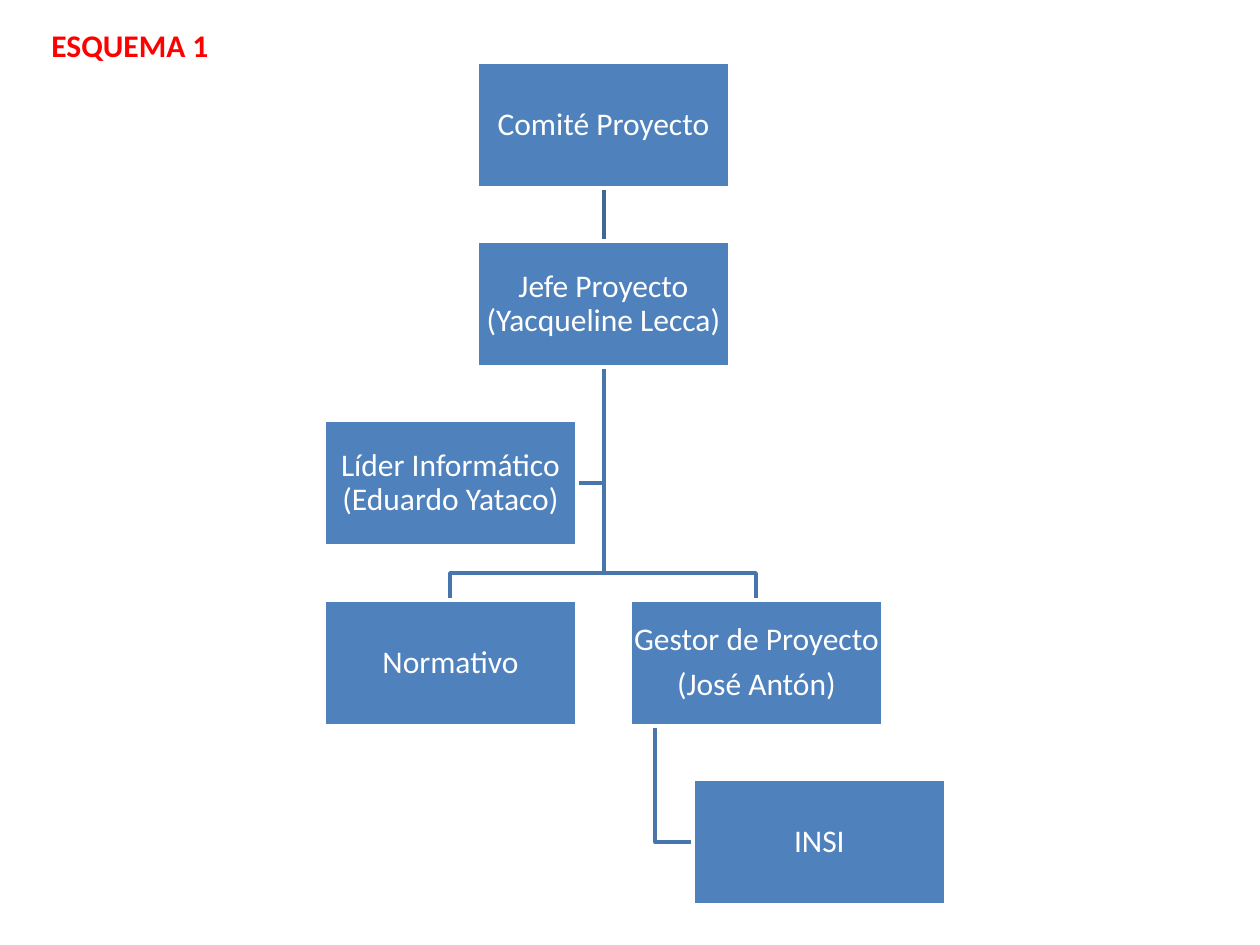
from dataclasses import dataclass

from lxml import etree
from pptx import Presentation
from pptx import util as u
from pptx.dml.color import RGBColor
from pptx.enum import shapes, text
from pptx.oxml.ns import qn


@dataclass(frozen=True)
class Theme:
    font: str = "Calibri"
    size: int = 18
    box: str = "4F81BD"
    paper: str = "FFFFFF"
    heading: str = "FF0000"
    main_link: str = "3F6797"
    branch_link: str = "4875AC"
    line: int = 2


theme = Theme()
PX = u.Inches(1) // 126


def write(frame, lines, color, bold=False, align=text.PP_ALIGN.LEFT,
          anchor=text.MSO_ANCHOR.TOP, wrap=True, margin=None,
          spacing=None, after=None):
    frame.word_wrap = wrap
    frame.vertical_anchor = anchor
    if margin is not None:
        frame.margin_left = frame.margin_right = margin * PX
        frame.margin_top = frame.margin_bottom = margin * PX
    for i, line in enumerate(lines):
        paragraph = frame.add_paragraph() if i else frame.paragraphs[0]
        paragraph.alignment = align
        if spacing:
            paragraph.line_spacing = spacing
        if after:
            paragraph.space_after = u.Pt(after)
        run = paragraph.add_run()
        run.text = line
        run.font.name = theme.font
        run.font.size = u.Pt(theme.size)
        run.font.bold = bold
        run.font.color.rgb = RGBColor.from_string(color)


def outline(part, color):
    part.line.color.rgb = RGBColor.from_string(color)
    part.line.width = u.Pt(theme.line)


deck = Presentation()
deck.slide_width, deck.slide_height = 1260 * PX, 945 * PX
slide = deck.slides.add_slide(deck.slide_layouts[6])

# Chart grid: one box size, five evenly spaced rows
BOX_W, BOX_H = 253, 126
CENTER, LEFT, RIGHT, INDENT = 477, 324, 630, 693
row_top = [round(62 + 179.25 * row) for row in range(5)]
half = BOX_W // 2
trunk = CENTER + half + 1
chief_bottom = row_top[1] + BOX_H
fork = row_top[3] - 27
assistant_y = row_top[2] + BOX_H // 2
insi_y = row_top[4] + BOX_H // 2
drop = RIGHT + 25

# Branches that turn a corner
branches = [
    [(trunk, chief_bottom), (trunk, assistant_y), (LEFT + BOX_W, assistant_y)],
    [(drop, row_top[3] + BOX_H), (drop, insi_y), (INDENT, insi_y)],
]
for column in (RIGHT, LEFT):
    child = column + half
    branches.append([(trunk, chief_bottom), (trunk, fork),
                     (child, fork), (child, row_top[3])])
for start, *turns in branches:
    builder = slide.shapes.build_freeform(*start, scale=PX)
    builder.add_line_segments(turns, close=False)
    branch = builder.convert_to_shape()
    branch.shadow.inherit = False
    branch.fill.background()
    outline(branch, theme.branch_link)

# Straight link from committee to project chief
link = slide.shapes.add_connector(
    shapes.MSO_CONNECTOR.STRAIGHT, trunk * PX, (row_top[0] + BOX_H) * PX,
    trunk * PX, row_top[1] * PX)
outline(link, theme.main_link)
etree.SubElement(link._element.spPr, qn("a:effectLst"))

# Roles
roles = [
    (CENTER, 0, ["Comité Proyecto"]),
    (CENTER, 1, ["Jefe Proyecto (Yacqueline Lecca)"]),
    (LEFT, 3, ["Normativo"]),
    (RIGHT, 3, ["Gestor de Proyecto", "(José Antón)"]),
    (INDENT, 4, ["INSI"]),
    (LEFT, 2, ["Líder Informático (Eduardo Yataco)"]),
]
for left, row, lines in roles:
    role = slide.shapes.add_shape(
        shapes.MSO_SHAPE.RECTANGLE, left * PX, row_top[row] * PX,
        BOX_W * PX, BOX_H * PX)
    role.shadow.inherit = False
    role.fill.solid()
    role.fill.fore_color.rgb = RGBColor.from_string(theme.box)
    outline(role, theme.paper)
    write(role.text_frame, lines, theme.paper, align=text.PP_ALIGN.CENTER,
          anchor=text.MSO_ANCHOR.MIDDLE, margin=1, spacing=0.9, after=6.3)

# Heading
heading = slide.shapes.add_textbox(39 * PX, 20 * PX, 184 * PX, 50 * PX)
write(heading.text_frame, ["ESQUEMA 1"], theme.heading, bold=True, wrap=False)
heading.text_frame.auto_size = text.MSO_AUTO_SIZE.SHAPE_TO_FIT_TEXT

deck.save("out.pptx")
